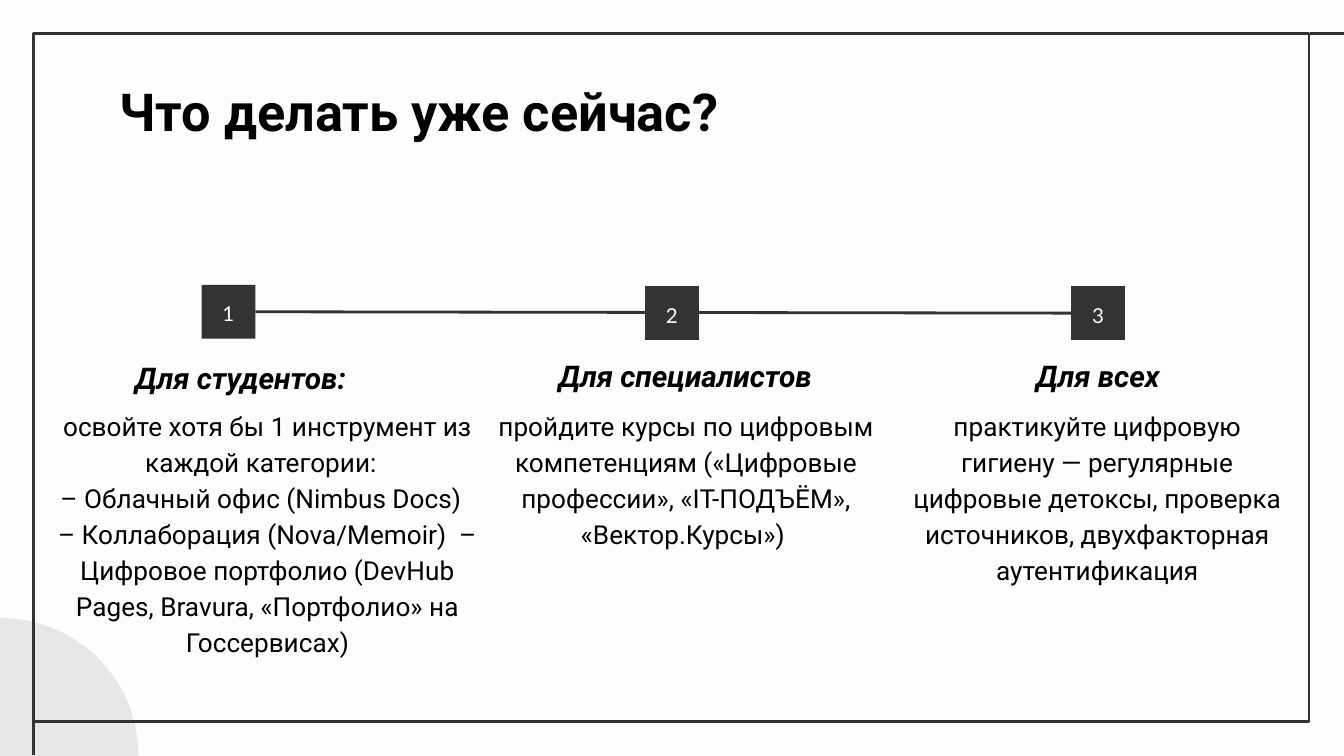
from dataclasses import dataclass
from lxml import etree
from pptx import Presentation
from pptx import util as u
from pptx.dml import color
from pptx.enum import shapes, text
from pptx.oxml import ns


@dataclass(frozen=True)
class Theme:
    paper: str = "FDFDFD"
    dark: str = "333333"
    pale: str = "E8E7E7"
    ink: str = "000000"
    font: str = "Roboto"
    mark: str = "Lato"
    title: int = 28
    head: int = 16
    body: int = 14
    num: int = 11
    line: float = 1.5
    lead: float = 1.15


theme = Theme()
rgb = color.RGBColor.from_string
align, anchor = text.PP_ALIGN, text.MSO_ANCHOR


def write(shape, words, size=theme.body, font=theme.font, ink=theme.ink, bold=False,
          slant=False, side=align.CENTER, hold=anchor.TOP, lead=theme.lead):
    frame = shape.text_frame
    frame.word_wrap = True
    frame.auto_size = text.MSO_AUTO_SIZE.NONE
    frame.vertical_anchor = hold
    frame.margin_left = frame.margin_right = u.Inches(0.1)
    frame.margin_top = frame.margin_bottom = u.Inches(0.1)
    frame.text = words
    for para in frame.paragraphs:
        para.alignment = side
        para.line_spacing = lead
        for run in para.runs:
            run.font.name = font
            run.font.size = u.Pt(size)
            run.font.bold = bold
            run.font.italic = slant
            run.font.color.rgb = rgb(ink)


def box(kind, left, top, wide, high, fill=None, line=None):
    shape = slide.shapes.add_shape(
        kind, u.Inches(left), u.Inches(top), u.Inches(wide), u.Inches(high))
    shape.shadow.inherit = False
    if fill:
        shape.fill.solid()
        shape.fill.fore_color.rgb = rgb(fill)
    else:
        shape.fill.background()
    if line:
        shape.line.color.rgb = rgb(line)
        shape.line.width = u.Pt(theme.line)
    else:
        shape.line.fill.background()
    return shape


deck = Presentation()
deck.slide_width, deck.slide_height = u.Inches(10), u.Inches(5.625)
slide = deck.slides.add_slide(deck.slide_layouts[5])
slide.background.fill.solid()
slide.background.fill.fore_color.rgb = rgb(theme.paper)

box(shapes.MSO_SHAPE.OVAL, -1.01, 4.6, 2.04, 2.04, fill=theme.pale)
box(shapes.MSO_SHAPE.RECTANGLE, 0.25, 0.25, 9.49, 5.12, line=theme.dark)

for ends in ((10, 0.25, 9.75, 0.25), (0.25, 5.62, 0.25, 5.35), (1.9, 2.32, 7.97, 2.33)):
    line = slide.shapes.add_connector(
        shapes.MSO_CONNECTOR.STRAIGHT, *[u.Inches(end) for end in ends])
    line.line.color.rgb = rgb(theme.dark)
    line.line.width = u.Pt(theme.line)
    etree.SubElement(line._element.spPr, ns.qn("a:effectLst"))

title = slide.shapes.title
title.left, title.top = u.Inches(0.79), u.Inches(0.49)
title.width, title.height = u.Inches(8.43), u.Inches(0.63)
write(title, "Что делать уже сейчас?", size=theme.title, bold=True, side=align.LEFT, lead=1)

steps = [
    ((1.5, 2.12), "Для студентов:", (0.7, 2.59, 2.18), (0.2, 3.58, 2.16),
     "освойте хотя бы 1 инструмент из каждой категории: \u2003\n"
     "– Облачный офис (Nimbus Docs) \u2003\n"
     "– Коллаборация (Nova/Memoir) \u2003– Цифровое портфолио (DevHub Pages, "
     "Bravura, «Портфолио» на Госсервисах) ".replace("\u2003", " ")),
    ((4.8, 2.13), "Для специалистов", (3.88, 2.58, 2.44), (3.58, 3.05, 1.32),
     "пройдите курсы по цифровым компетенциям («Цифровые профессии», "
     "«IT-ПОДЪЁМ», «Вектор.Курсы») "),
    ((7.97, 2.13), "Для всех", (7.32, 2.58, 1.7), (6.63, 3.07, 1.68),
     "практикуйте цифровую гигиену — регулярные цифровые детоксы, "
     "проверка источников, двухфакторная аутентификация"),
]
steps[0] = (*steps[0][:4],
            "освойте хотя бы 1 инструмент из каждой категории:  \n"
            "– Облачный офис (Nimbus Docs)  \n"
            "– Коллаборация (Nova/Memoir)  – Цифровое портфолио (DevHub Pages, "
            "Bravura, «Портфолио» на Госсервисах)")

for num, (spot, head, place, area, body) in enumerate(steps, 1):
    label = slide.shapes.add_textbox(*[u.Inches(n) for n in (*place, 0.45)])
    write(label, head, size=theme.head, bold=True, slant=True, hold=anchor.BOTTOM)
    left, wide, high = area
    note = slide.shapes.add_textbox(*[u.Inches(n) for n in (left, 2.92, wide, high)])
    write(note, body)
    mark = box(shapes.MSO_SHAPE.RECTANGLE, *spot, 0.4, 0.4, fill=theme.dark)
    write(mark, str(num), size=theme.num, font=theme.mark, ink=theme.paper, hold=anchor.MIDDLE)

deck.save("out.pptx")
